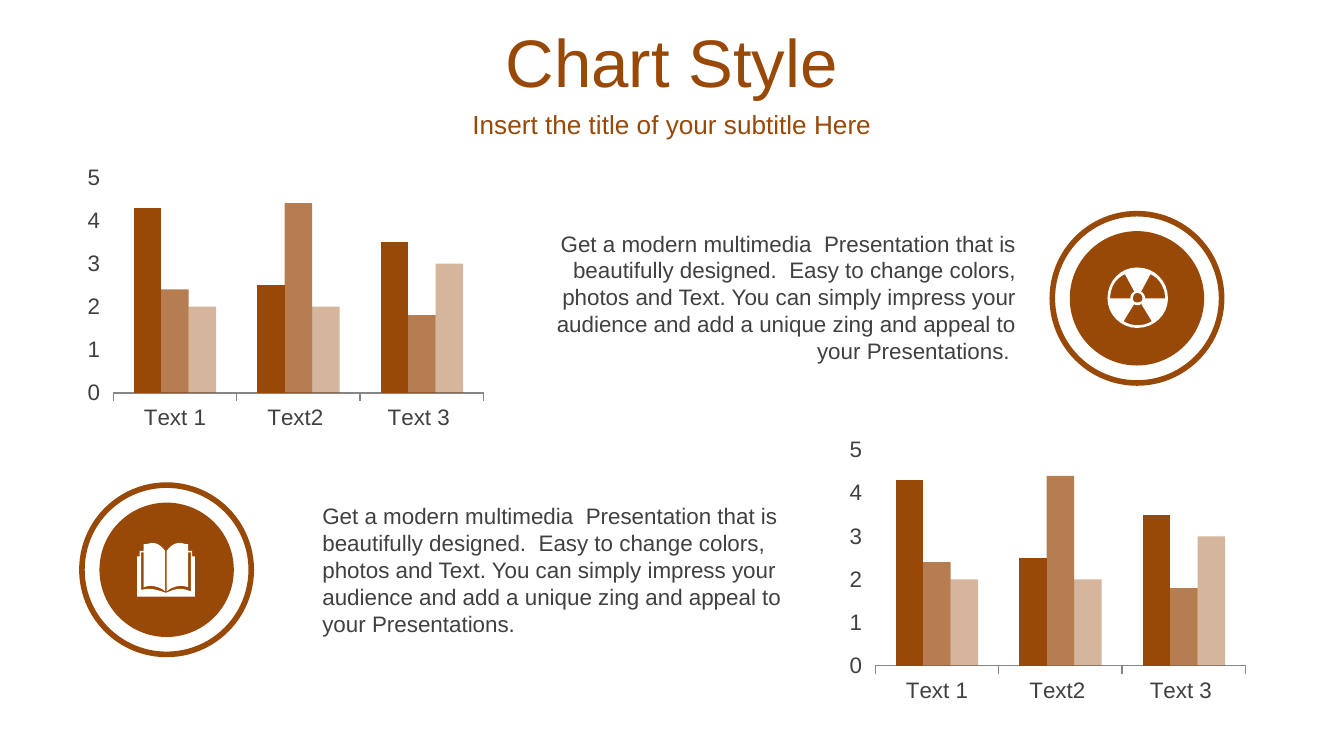
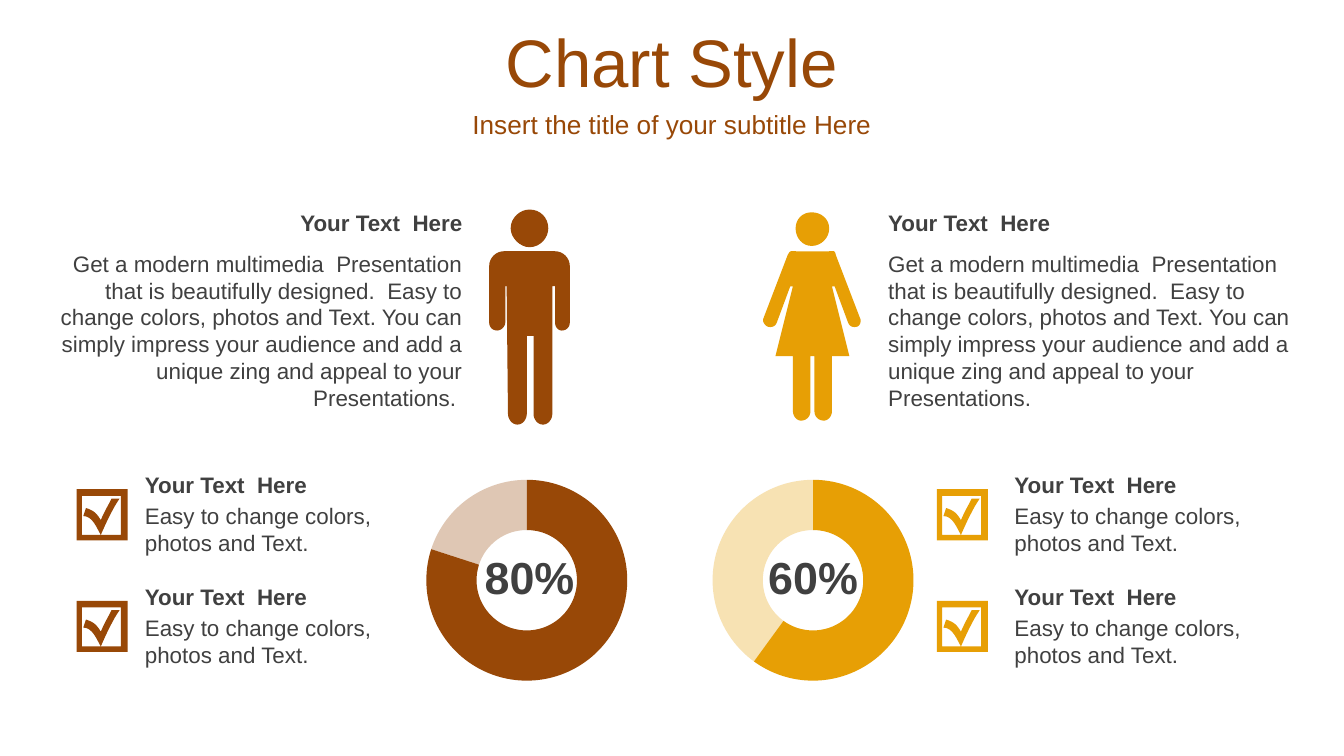
from dataclasses import dataclass
from typing import NamedTuple

from pptx import Presentation
from pptx.chart.data import CategoryChartData
from pptx.dml.color import RGBColor
from pptx.enum.chart import XL_CHART_TYPE, XL_TICK_MARK
from pptx.enum.shapes import MSO_SHAPE
from pptx.enum.text import MSO_ANCHOR, MSO_AUTO_SIZE, PP_ALIGN
from pptx.oxml import parse_xml
from pptx.oxml.ns import nsdecls, qn
from pptx.util import Pt

LEFT, CENTER, RIGHT = PP_ALIGN.LEFT, PP_ALIGN.CENTER, PP_ALIGN.RIGHT
TOP, MIDDLE = MSO_ANCHOR.TOP, MSO_ANCHOR.MIDDLE
GROW = MSO_AUTO_SIZE.SHAPE_TO_FIT_TEXT
COLUMNS, DOUGHNUT = XL_CHART_TYPE.COLUMN_CLUSTERED, XL_CHART_TYPE.DOUGHNUT
TICK_OUT = XL_TICK_MARK.OUTSIDE
OVAL = MSO_SHAPE.OVAL

EMU_PER_PX = 9144
SLIDE_WIDTH = 1000
FONT = "Arial"
BROWN, AMBER, INK = "984807", "E79F05", "404040"
WHITE, BLACK, AXIS_GRAY = "FFFFFF", "000000", "868686"
CURVE_STEPS = 8

HEADING = "Your Text  Here"
PITCH = (
    "Get a modern multimedia  Presentation that is beautifully designed.  "
    "Easy to change colors, photos and Text. You can simply impress your audience "
    "and add a unique zing and appeal to your Presentations."
)
SHORT_PITCH = "Easy to change colors, photos and Text."

RADIATION = (
    "M 20,27 L 12,40 C 18,44 27,44 33,40 L 25,27 C 24,28 24,28 22,28 C 21,28 20,28 20,27 Z "
    "M 22,19 C 20,19 19,21 19,23 C 19,25 20,26 22,26 C 25,26 26,25 26,23 C 26,21 25,19 22,19 Z "
    "M 32,5 L 25,18 C 27,19 28,21 28,23 L 43,23 C 43,16 39,8 32,5 Z "
    "M 13,5 C 6,8 2,15 2,23 L 17,23 C 17,21 18,19 20,18 Z "
    "M 22,0 C 35,0 45,10 45,23 C 45,35 35,45 22,45 C 10,45 0,35 0,23 C 0,10 10,0 22,0 Z"
)
BOOK = (
    "M 21,37 L 22,37 C 29,34 32,33 40,36 L 40,7 L 38,7 L 38,33 C 33,31 27,32 22,36 "
    "L 22,6 C 25,2 28,0 32,0 C 34,0 35,1 38,1 L 38,6 L 41,6 L 41,10 L 43,10 L 43,40 "
    "L 0,40 L 0,10 L 2,10 L 2,6 L 5,6 L 5,1 C 8,1 10,0 11,0 C 15,0 18,2 21,6 L 21,36 "
    "C 16,32 10,31 5,33 L 5,7 L 3,7 L 3,35 C 10,33 15,35 21,37 Z"
)
MAN = (
    "M 49,31 L 11,31 C 5,31 0,36 0,42 L 0,84 C 0,87 2,90 6,90 C 9,90 12,87 12,84 "
    "L 12,57 L 13,57 L 14,152 C 14,156 17,160 21,160 C 25,160 28,156 28,152 L 28,94 "
    "L 33,94 L 33,152 C 33,156 36,160 40,160 C 44,160 47,156 47,152 L 47,57 L 49,57 "
    "L 49,84 C 49,87 51,90 54,90 C 58,90 60,87 60,84 L 60,42 C 60,36 55,31 49,31 Z "
    "M 30,0 C 23,0 16,6 16,14 C 16,21 23,28 30,28 C 38,28 44,21 44,14 C 44,6 38,0 30,0 Z"
)
WOMAN = (
    "M 25,29 L 48,29 C 53,29 53,28 54,32 L 72,79 C 73,81 72,84 70,85 C 67,86 64,85 63,82 "
    "L 53,55 L 51,55 L 64,107 L 51,107 L 51,148 C 51,152 48,155 45,155 C 41,155 38,152 38,148 "
    "L 38,107 L 35,107 L 35,148 C 35,152 32,155 28,155 C 25,155 22,152 22,148 L 22,107 "
    "L 9,107 L 22,55 L 20,55 L 10,82 C 9,85 6,86 3,85 C 1,84 -1,81 0,79 L 18,32 "
    "C 20,28 20,29 25,29 Z "
    "M 36,0 C 43,0 49,5 49,12 C 49,19 43,25 36,25 C 29,25 24,19 24,12 C 24,5 29,0 36,0 Z"
)
CHECK = (
    "M 5,5 L 4,5 L 4,34 L 18,34 C 15,29 12,20 5,20 L 7,14 C 13,16 15,18 18,23 "
    "C 21,16 23,13 26,7 L 32,7 C 27,14 22,25 18,34 L 33,34 L 33,5 Z "
    "M 0,0 L 38,0 L 38,38 L 0,38 Z"
)


class Box(NamedTuple):
    left: int
    top: int
    width: int
    height: int


class Point(NamedTuple):
    x: float
    y: float


@dataclass(frozen=True)
class TextStyle:
    size: int = 12
    color: str = INK
    bold: bool = False
    align: PP_ALIGN = LEFT
    anchor: MSO_ANCHOR = TOP
    grow: bool = True


@dataclass(frozen=True)
class Feature:
    columns: Box
    emblem: Point
    icon: str
    icon_at: Point
    pitch: Box
    align: PP_ALIGN


@dataclass(frozen=True)
class Audience:
    color: str
    figure: str
    figure_at: Point
    pitch_left: int
    align: PP_ALIGN
    share: int
    ring_left: int
    share_left: int
    check_left: int
    point_left: int


FEATURES = (
    Feature(Box(626, 322, 307, 205), Point(61, 361), BOOK, Point(102, 404),
            Box(230, 369, 368, 111), LEFT),
    Feature(Box(59, 119, 307, 205), Point(783, 159), RADIATION, Point(824, 199),
            Box(398, 166, 368, 111), RIGHT),
)
AUDIENCES = (
    Audience(BROWN, MAN, Point(364, 156), 33, RIGHT, 80, 317, 350, 57, 98),
    Audience(AMBER, WOMAN, Point(568, 158), 651, LEFT, 60, 530, 561, 697, 745),
)
CATEGORIES = ("Text 1", "Text2 ", "Text 3 ")
COLUMN_SERIES = (
    ("Series 1", (4.3, 2.5, 3.5), 100),
    ("Series 2", (2.4, 4.4, 1.8), 70),
    ("Series 3", (2, 2, 3), 40),
)
POINT_TOPS = (346, 429)


def px(length: float) -> int:
    return round(length * EMU_PER_PX)


def emu(box: Box) -> tuple[int, ...]:
    return tuple(px(length) for length in box)


def rgb(color: str) -> RGBColor:
    return RGBColor.from_string(color)


def set_font(font, size: int, color: str, bold: bool = False) -> None:
    font.name = FONT
    font.size = Pt(size)
    font.bold = bold
    font.color.rgb = rgb(color)


def paint(part, color: str) -> None:
    part.fill.solid()
    part.fill.fore_color.rgb = rgb(color)
    part.line.fill.background()


def add_text(slide, box: Box, text: str, style: TextStyle) -> None:
    frame = slide.shapes.add_textbox(*emu(box)).text_frame
    frame.word_wrap = True
    frame.vertical_anchor = style.anchor
    if style.grow:
        frame.auto_size = GROW
    paragraph = frame.paragraphs[0]
    paragraph.text = text
    paragraph.alignment = style.align
    set_font(paragraph.font, style.size, style.color, style.bold)


def add_pitch(slide, box: Box, align: PP_ALIGN) -> None:
    add_text(slide, box, PITCH + " " if align == RIGHT else PITCH, TextStyle(align=align))


def trace(contour: str) -> list[Point]:
    points: list[Point] = []
    tokens = iter(contour.split())
    for command in tokens:
        ends = [Point(*map(int, next(tokens).split(",")))
                for _ in range(3 if command == "C" else 1)]
        if command != "C":
            points += ends
            continue
        curve = (points[-1], *ends)
        for step in range(1, CURVE_STEPS + 1):
            t = step / CURVE_STEPS
            weights = ((1 - t) ** 3, 3 * t * (1 - t) ** 2, 3 * t * t * (1 - t), t ** 3)
            points.append(Point(sum(w * p.x for w, p in zip(weights, curve)),
                                sum(w * p.y for w, p in zip(weights, curve))))
    return points


def add_icon(slide, at: Point, outline: str, color: str) -> None:
    contours = [[(px(p.x), px(p.y)) for p in trace(part)]
                for part in outline.split("Z") if part.strip()]
    builder = slide.shapes.build_freeform(*contours[0][0], scale=1.0)
    for index, contour in enumerate(contours):
        if index:
            builder.move_to(*contour[0])
        builder.add_line_segments(contour[1:], close=True)
    icon = builder.convert_to_shape(px(at.x), px(at.y))
    icon.shadow.inherit = False
    paint(icon, color)


def add_emblem(slide, at: Point) -> None:
    ring = slide.shapes.add_shape(OVAL, *emu(Box(at.x, at.y, 126, 126)))
    ring.fill.background()
    ring.line.color.rgb = rgb(BROWN)
    ring.line.width = Pt(3)
    disc = slide.shapes.add_shape(OVAL, *emu(Box(at.x + 13, at.y + 13, 100, 100)))
    paint(disc, BROWN)
    for circle in (ring, disc):
        circle.shadow.inherit = False


def add_chart(slide, kind: XL_CHART_TYPE, box: Box, data: CategoryChartData):
    chart = slide.shapes.add_chart(kind, *emu(box), data).chart
    chart.has_legend = False
    chart.has_title = False
    set_font(chart.font, 18, BLACK)
    return chart


def set_opacity(chart, opacities: list[int]) -> None:
    tints = chart.element.xpath("//c:ser//c:spPr/a:solidFill/a:srgbClr")
    for tint, opacity in zip(tints, opacities):
        if opacity < 100:
            tint.append(parse_xml(f'<a:alpha {nsdecls("a")} val="{opacity * 1000}"/>'))


def add_columns(slide, box: Box) -> None:
    data = CategoryChartData()
    data.categories = CATEGORIES
    for name, values, _ in COLUMN_SERIES:
        data.add_series(name, values)
    chart = add_chart(slide, COLUMNS, box, data)
    plot = chart.plots[0]
    plot.gap_width = 150
    plot.overlap = 0
    plot.vary_by_categories = False
    for series in plot.series:
        paint(series.format, BROWN)
    set_opacity(chart, [opacity for _, _, opacity in COLUMN_SERIES])
    for axis in (chart.category_axis, chart.value_axis):
        axis.major_tick_mark = TICK_OUT
        axis.has_major_gridlines = False
        set_font(axis.tick_labels.font, 12, INK)
    baseline = chart.category_axis.format.line
    baseline.color.rgb = rgb(AXIS_GRAY)
    baseline.width = Pt(0.75)
    scale = chart.value_axis
    scale.minimum_scale, scale.maximum_scale, scale.major_unit = 0, 5, 1
    scale.format.line.fill.background()


def add_ring(slide, box: Box, share: int, color: str) -> None:
    data = CategoryChartData()
    data.categories = ("1", "2")
    data.add_series("Series 1", (share, 100 - share))
    chart = add_chart(slide, DOUGHNUT, box, data)
    plot = chart.plots[0]
    plot.vary_by_categories = True
    for index in range(2):
        paint(plot.series[0].points[index].format, color)
    set_opacity(chart, [100, 30])
    chart.element.xpath("//c:holeSize")[0].set("val", "75")
    area = chart.element.xpath("//c:plotArea")[0]
    for layout in area.findall(qn("c:layout")):
        area.remove(layout)
    area.insert(0, parse_xml(
        f'<c:layout {nsdecls("c")}><c:manualLayout><c:layoutTarget val="inner"/>'
        '<c:xMode val="edge"/><c:yMode val="edge"/><c:x val="0"/><c:y val="0"/>'
        '<c:w val="1"/><c:h val="0.965"/></c:manualLayout></c:layout>'))


def add_titled_slide(deck):
    slide = deck.slides.add_slide(deck.slide_layouts[6])
    for text, top, height, size in (("Chart Style", 14, 63, 36),
                                    ("Insert the title of your subtitle Here", 77, 31, 14)):
        add_text(slide, Box(0, top, SLIDE_WIDTH, height), text,
                 TextStyle(size, BROWN, align=CENTER, anchor=MIDDLE, grow=False))
    return slide


def build_columns_slide(deck) -> None:
    slide = add_titled_slide(deck)
    for feature in FEATURES:
        add_columns(slide, feature.columns)
        add_emblem(slide, feature.emblem)
        add_icon(slide, feature.icon_at, feature.icon, WHITE)
        add_pitch(slide, feature.pitch, feature.align)


def build_audience_slide(deck) -> None:
    slide = add_titled_slide(deck)
    for who in AUDIENCES:
        add_ring(slide, Box(who.ring_left, 357, 150, 155), who.share, who.color)
        add_text(slide, Box(who.share_left, 404, 88, 50), f"{who.share}%",
                 TextStyle(24, bold=True, align=CENTER, anchor=MIDDLE))
        add_icon(slide, who.figure_at, who.figure, who.color)
        add_pitch(slide, Box(who.pitch_left, 181, 321, 131), who.align)
        add_text(slide, Box(who.pitch_left, 151, 321, 30), HEADING,
                 TextStyle(bold=True, align=who.align))
        for top in POINT_TOPS:
            add_text(slide, Box(who.point_left, top + 23, 196, 50), SHORT_PITCH, TextStyle())
            add_text(slide, Box(who.point_left, top, 196, 30), HEADING, TextStyle(bold=True))
            add_icon(slide, Point(who.check_left, top + 18), CHECK, who.color)


def main() -> None:
    deck = Presentation()
    deck.slide_width = px(SLIDE_WIDTH)
    deck.slide_height = deck.slide_width * 9 // 16
    build_columns_slide(deck)
    build_audience_slide(deck)
    deck.save("out.pptx")


if __name__ == "__main__":
    main()
